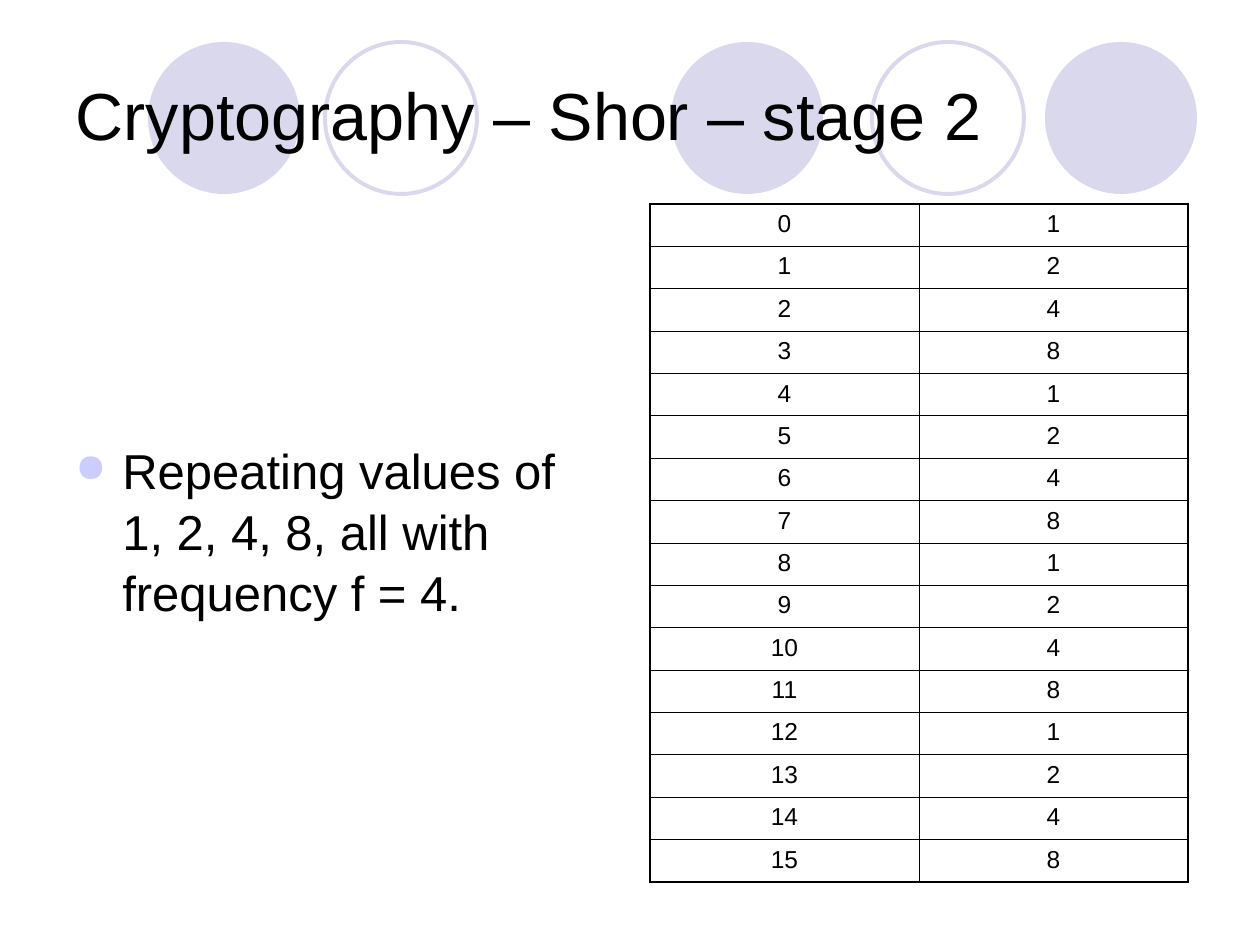
from lxml import etree
from pptx import Presentation
from pptx import util as u
from pptx.dml.color import RGBColor
from pptx.enum import shapes, text
from pptx.oxml import ns

# Content
TITLE = "Cryptography – Shor – stage 2"
POINT = "Repeating values of 1, 2, 4, 8, all with frequency f = 4."
ROWS = [(n, 2 ** (n % 4)) for n in range(16)]

# Circles: left edge, filled or outlined
RINGS = [(671, True), (1045, True), (148, True), (872, False), (325, False)]
RING_TOP, RING_SIZE = 42, 152

# Boxes: left, top, width, height
TITLE_BOX = (63, 35, 1134, 158)
POINT_BOX = (63, 220, 557, 624)
TABLE_BOX = (650, 204, 538, 678)
POINT_DROP, INDENT = 218, 47

THEME = dict(
    font="Arial", ink="000000", ring="D9D8EC", bullet="CCCCFF",
    title=38, body=28, cell=14, ring_line=2.25, outer=1.08, inner=0.45,
)


def px(n):
    return u.Emu(round(n * 914400 / 126))


def color(name):
    return RGBColor.from_string(THEME[name])


def style(para, size, align):
    para.alignment = align
    para.font.name = THEME["font"]
    para.font.size = u.Pt(THEME[size])
    para.font.color.rgb = color("ink")


def add(parent, tag, **attrs):
    return etree.SubElement(parent, ns.qn(tag), attrs)


def draw_ring(slide, left, filled):
    ring = slide.shapes.add_shape(
        shapes.MSO_SHAPE.OVAL, *map(px, (left, RING_TOP, RING_SIZE, RING_SIZE)))
    ring.shadow.inherit = False
    if filled:
        ring.fill.solid()
        ring.fill.fore_color.rgb = color("ring")
        ring.line.fill.background()
    else:
        ring.fill.background()
        ring.line.color.rgb = color("ring")
        ring.line.width = u.Pt(THEME["ring_line"])


def draw_title(slide):
    title = slide.shapes.title
    title.left, title.top, title.width, title.height = map(px, TITLE_BOX)
    frame = title.text_frame
    frame.text = TITLE
    frame.word_wrap = True
    frame.auto_size = text.MSO_AUTO_SIZE.NONE
    frame.vertical_anchor = text.MSO_ANCHOR.MIDDLE
    style(frame.paragraphs[0], "title", text.PP_ALIGN.LEFT)
    # Bring the title in front of the circles
    slide.shapes.element.append(title.element)


def draw_point(slide):
    frame = slide.shapes.add_textbox(*map(px, POINT_BOX)).text_frame
    frame.word_wrap = True
    frame.margin_top = px(POINT_DROP)
    para = frame.paragraphs[0]
    para.text = POINT
    para.line_spacing = 1.04
    props = para._p.get_or_add_pPr()
    props.set("marL", str(px(INDENT)))
    props.set("indent", str(-px(INDENT)))
    add(add(props, "a:buClr"), "a:srgbClr", val=THEME["bullet"])
    add(props, "a:buSzPct", val="80000")
    add(props, "a:buChar", char="●")
    style(para, "body", text.PP_ALIGN.LEFT)


def edge(cell, side, width):
    line = add(cell._tc.get_or_add_tcPr(), "a:" + side, w=str(u.Pt(width)))
    add(add(line, "a:solidFill"), "a:srgbClr", val=THEME["ink"])


def draw_table(slide):
    count, span = len(ROWS), len(ROWS[0])
    left, top, width, height = TABLE_BOX
    table = slide.shapes.add_table(count, span, *map(px, TABLE_BOX)).table
    table.first_row = table.horz_banding = False
    for col in table.columns:
        col.width = px(width / span)
    for r, values in enumerate(ROWS):
        table.rows[r].height = px(height / count)
        for c, value in enumerate(values):
            cell = table.cell(r, c)
            cell.text = str(value)
            style(cell.text_frame.paragraphs[0], "cell", text.PP_ALIGN.CENTER)
            sides = {"lnL": c == 0, "lnR": c == span - 1,
                     "lnT": r == 0, "lnB": r == count - 1}
            for side, rim in sides.items():
                edge(cell, side, THEME["outer" if rim else "inner"])
            cell.fill.background()


def main():
    deck = Presentation()
    deck.slide_width, deck.slide_height = px(1260), px(945)
    slide = deck.slides.add_slide(deck.slide_layouts[5])
    for left, filled in RINGS:
        draw_ring(slide, left, filled)
    draw_title(slide)
    draw_point(slide)
    draw_table(slide)
    deck.save("out.pptx")


if __name__ == "__main__":
    main()
